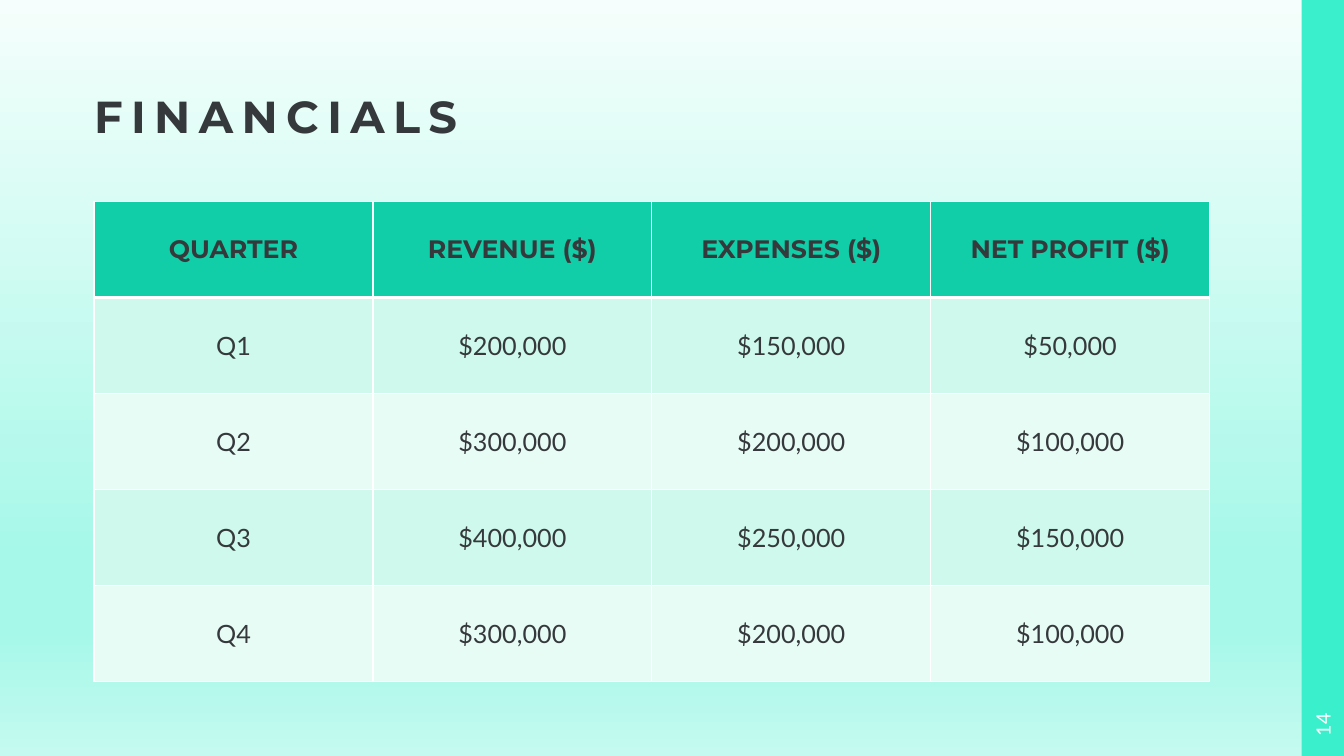
from dataclasses import dataclass

from lxml import etree
from pptx import Presentation, util as u
from pptx.dml.color import RGBColor
from pptx.enum import shapes, text
from pptx.oxml import ns

SLIDE_WIDTH, SLIDE_HEIGHT = u.Inches(13.33), u.Inches(7.5)

INK = RGBColor(0x36, 0x39, 0x3B)
WHITE = RGBColor(0xFF, 0xFF, 0xFF)
SIDE_BAR = RGBColor(0x3A, 0xEF, 0xCC)
HEADER_FILL = RGBColor(0x11, 0xCE, 0xA9)
BAND_FILLS = (RGBColor(0xCE, 0xF9, 0xEC), RGBColor(0xE8, 0xFC, 0xF6))
MINT_TOP = RGBColor(0xF5, 0xFE, 0xFC)
MINT_DEEP = RGBColor(0xA6, 0xF8, 0xE8)
MINT_BOTTOM = RGBColor(0xC4, 0xFA, 0xF0)
BACKGROUND_STOPS = ((0, MINT_TOP), (74, MINT_DEEP), (83, MINT_DEEP), (100, MINT_BOTTOM))


@dataclass(frozen=True)
class Area:
    """A rectangle in percent of the slide's width and height."""
    left: float
    top: float
    width: float
    height: float

    def box(self) -> tuple[int, int, int, int]:
        return (round(SLIDE_WIDTH * self.left / 100), round(SLIDE_HEIGHT * self.top / 100),
                round(SLIDE_WIDTH * self.width / 100), round(SLIDE_HEIGHT * self.height / 100))


@dataclass(frozen=True)
class TextStyle:
    font: str
    size: float
    color: RGBColor
    bold: bool = False
    spacing: float = 0


TITLE = TextStyle("Montserrat", 32, INK, bold=True, spacing=6)
HEADER = TextStyle("Montserrat", 18, INK, bold=True)
BODY = TextStyle("Lato", 18, INK)
PAGE_NUMBER = TextStyle("Lato", 14, WHITE)

TITLE_AREA = Area(7, 0, 83, 19)
TABLE_AREA = Area(7, 26.67, 83, 63.5)
BAR_AREA = Area(96.85, 0, 3.15, 100)
NUMBER_AREA = Area(96.1, 93.07, 4.65, 5.6)

FINANCIALS = (
    ("QUARTER", "REVENUE ($)", "EXPENSES ($)", "NET PROFIT ($)"),
    ("Q1", "$200,000", "$150,000", "$50,000"),
    ("Q2", "$300,000", "$200,000", "$100,000"),
    ("Q3", "$400,000", "$250,000", "$150,000"),
    ("Q4", "$300,000", "$200,000", "$100,000"),
)


def add_run(paragraph, words: str, style: TextStyle) -> None:
    run = paragraph.add_run()
    run.text = words
    run.font.name = style.font
    run.font.size = u.Pt(style.size)
    run.font.bold = style.bold
    run.font.color.rgb = style.color
    if style.spacing:
        run._r.get_or_add_rPr().set("spc", str(round(style.spacing * 100)))


def add_solid_fill(parent, color: RGBColor) -> None:
    fill = etree.SubElement(parent, ns.qn("a:solidFill"))
    etree.SubElement(fill, ns.qn("a:srgbClr"), val=str(color))


def paint_background(slide) -> None:
    """Fill the slide with a vertical gradient of several stops."""
    fill = slide.background.fill
    fill.gradient()
    fill.gradient_angle = 270
    stops = slide.background._cSld.find(".//" + ns.qn("a:gsLst"))
    for stop in list(stops):
        stops.remove(stop)
    for percent, color in BACKGROUND_STOPS:
        stop = etree.SubElement(stops, ns.qn("a:gs"), pos=str(percent * 1000))
        etree.SubElement(stop, ns.qn("a:srgbClr"), val=str(color))


def add_side_bar(slide) -> None:
    bar = slide.shapes.add_shape(shapes.MSO_SHAPE.RECTANGLE, *BAR_AREA.box())
    bar.shadow.inherit = False
    bar.fill.solid()
    bar.fill.fore_color.rgb = SIDE_BAR
    bar.line.fill.background()


def add_label(slide, area: Area, words: str, style: TextStyle,
              anchor: text.MSO_ANCHOR, alignment: text.PP_ALIGN):
    """Add a one-line text box without insets."""
    label = slide.shapes.add_textbox(*area.box())
    frame = label.text_frame
    frame.word_wrap = True
    frame.vertical_anchor = anchor
    frame.margin_left = frame.margin_right = frame.margin_top = frame.margin_bottom = 0
    paragraph = frame.paragraphs[0]
    paragraph.alignment = alignment
    add_run(paragraph, words, style)
    return label


def add_borders(cell, top: float, bottom: float) -> None:
    """Draw white borders, with the top and bottom widths in points."""
    properties = cell._tc.get_or_add_tcPr()
    for side, width in (("L", 1), ("R", 1), ("T", top), ("B", bottom)):
        line = etree.SubElement(properties, ns.qn(f"a:ln{side}"), w=str(u.Pt(width)))
        add_solid_fill(line, WHITE)


def add_financials_table(slide) -> None:
    row_count, column_count = len(FINANCIALS), len(FINANCIALS[0])
    table = slide.shapes.add_table(row_count, column_count, *TABLE_AREA.box()).table
    table.first_row = table.horz_banding = False
    for row, values in enumerate(FINANCIALS):
        is_header = row == 0
        for column, value in enumerate(values):
            cell = table.cell(row, column)
            add_borders(cell, top=3 if row == 1 else 1, bottom=3 if is_header else 1)
            cell.fill.solid()
            cell.fill.fore_color.rgb = HEADER_FILL if is_header else BAND_FILLS[(row - 1) % 2]
            cell.vertical_anchor = text.MSO_ANCHOR.MIDDLE
            paragraph = cell.text_frame.paragraphs[0]
            paragraph.alignment = text.PP_ALIGN.CENTER
            add_run(paragraph, value, HEADER if is_header else BODY)


def main() -> None:
    presentation = Presentation()
    presentation.slide_width, presentation.slide_height = SLIDE_WIDTH, SLIDE_HEIGHT
    slide = presentation.slides.add_slide(presentation.slide_layouts[6])

    paint_background(slide)
    add_side_bar(slide)
    title = add_label(slide, TITLE_AREA, "FINANCIALS", TITLE,
                      text.MSO_ANCHOR.BOTTOM, text.PP_ALIGN.LEFT)
    title.text_frame.paragraphs[0].line_spacing = 0.9
    add_financials_table(slide)
    number = add_label(slide, NUMBER_AREA, "14", PAGE_NUMBER,
                       text.MSO_ANCHOR.MIDDLE, text.PP_ALIGN.CENTER)
    number.rotation = 270

    presentation.save("out.pptx")


if __name__ == "__main__":
    main()
